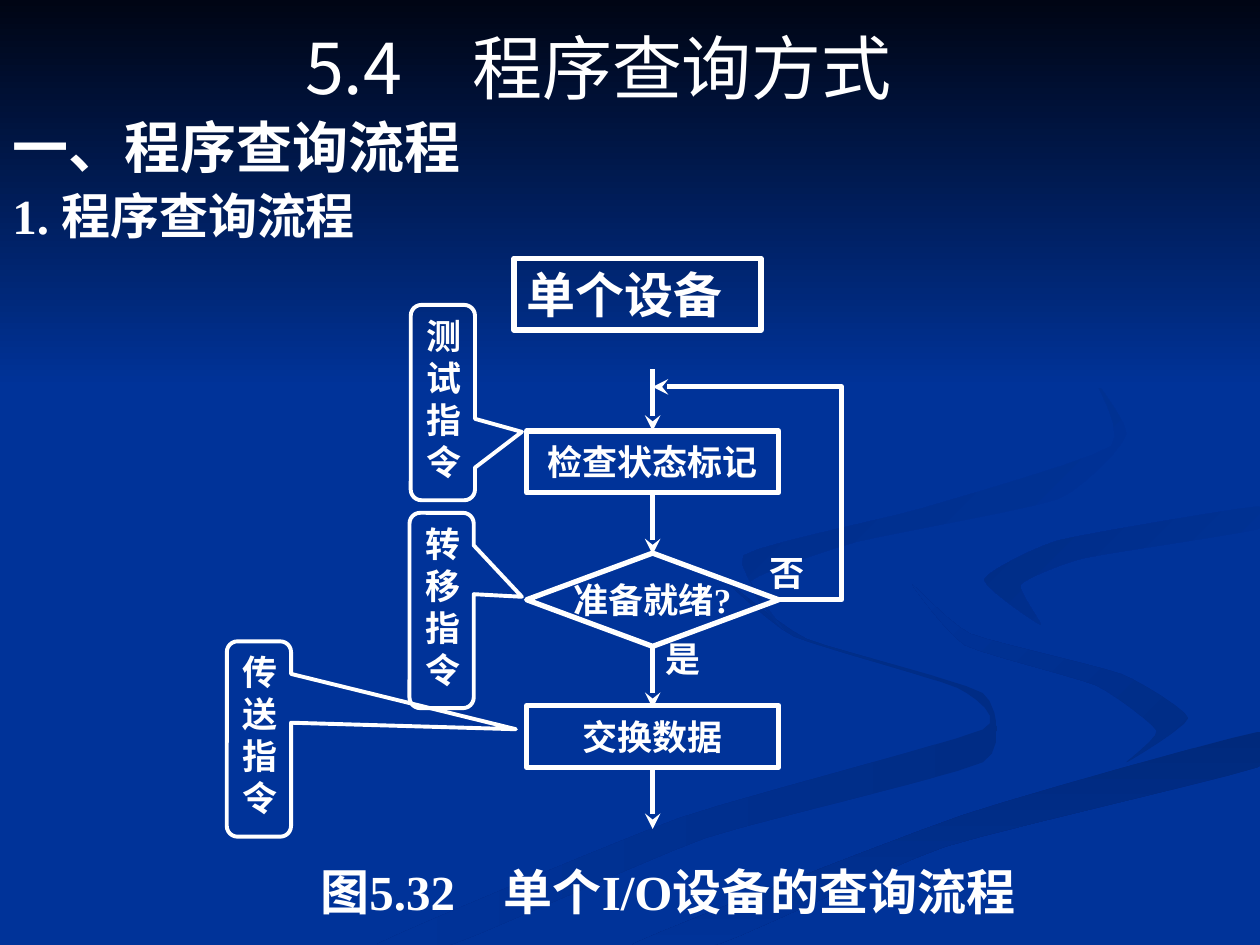
from dataclasses import dataclass

from lxml.etree import SubElement
from pptx import Presentation
from pptx.dml.color import RGBColor
from pptx.enum.shapes import MSO_CONNECTOR as Link, MSO_SHAPE as Shape
from pptx.enum.text import MSO_ANCHOR as Anchor, PP_ALIGN as Align
from pptx.oxml.ns import qn
from pptx.util import Inches, Pt


@dataclass(frozen=True)
class Theme:
    """Colours, fonts, type sizes and line widths of the deck."""
    ground: str = "003399"
    night: str = "000514"
    shade: str = "002C85"
    deep: str = "00297C"
    ink: str = "FFFFFF"
    serif: str = "Times New Roman"
    sans: str = "Noto Sans CJK SC"
    title: int = 40
    section: int = 32
    heading: int = 28
    label: int = 20
    stroke: float = 3
    thin: float = 2.25


@dataclass(frozen=True)
class Box:
    """A rectangle on the slide, in inches."""
    left: float
    top: float
    width: float
    height: float

    def inner(self, x, y, width, height):
        """Return a box placed relative to this one."""
        return Box(self.left + x, self.top + y, width, height)

    def emu(self):
        """Return the four lengths for python-pptx."""
        return [Inches(n) for n in (self.left, self.top, self.width, self.height)]


THEME = Theme()
RIBBONS = [
    (THEME.shade, THEME.ground, 180, [
        (7.8, 5.5), (6.4, 5.07), (5.75, 4.6), (6.3, 5.05), (7.6, 5.46), (7.8, 5.79),
        (5.4, 6.49), (3, 7.49), (3.6, 7.49), (5.6, 6.65), (7.8, 6.05)]),
    (THEME.shade, THEME.ground, 225, [
        (9.43, 5.7), (8.9, 5.35), (7.7, 5.03), (7.24, 4.64), (7.66, 5.12), (8.7, 5.44),
        (9.18, 5.8), (8.94, 6.05)]),
    (THEME.deep, THEME.ground, 90, [
        (5.03, 7.49), (5.71, 7.49), (7.5, 6.72), (9.98, 6.09), (9.98, 5.81), (7.64, 6.47)]),
    (THEME.ground, THEME.shade, 225, [
        (7.81, 4.6), (8.26, 4.96), (8.1, 4.64), (8.6, 4.43), (9.98, 4.2), (9.98, 4.02),
        (8.4, 4.29)]),
    (THEME.ground, THEME.shade, 225, [
        (6.8, 4.3), (8.4, 3.96), (8.94, 3.44), (8.5, 2.8), (7.62, 2.33), (8.6, 2.9),
        (8.82, 3.54), (7.3, 4.04), (5.9, 4.41), (6.22, 5), (5.96, 4.61)]),
]


def smooth_outline(points, steps=6):
    """Round a closed outline with a Catmull-Rom curve of half tension."""
    count = len(points)
    outline = []
    for index in range(count):
        before, start, end, after = (points[(index + n) % count] for n in (-1, 0, 1, 2))
        for step in range(steps):
            t = step / steps
            rise = t * t * (3 - 2 * t)
            leave, arrive = t * (1 - t) ** 2 / 4, t * t * (1 - t) / 4
            outline.append(tuple(
                b + (c - b) * rise + (c - a) * leave - (d - b) * arrive
                for a, b, c, d in zip(before, start, end, after)))
    return outline


def set_gradient(shape, start, end, angle):
    """Fill a shape without outline with a two-stop gradient, angle clockwise."""
    shape.shadow.inherit = False
    shape.line.fill.background()
    shape.fill.gradient()
    shape.fill.gradient_angle = 360 - angle
    for stop, colour in zip(shape.fill.gradient_stops, (start, end)):
        stop.color.rgb = RGBColor.from_string(colour)


def set_stroke(line, width, arrow=False):
    """Draw a line in the ink colour, with an optional stealth arrowhead."""
    line.color.rgb = RGBColor.from_string(THEME.ink)
    line.width = Pt(width)
    if arrow:
        SubElement(line._get_or_add_ln(), qn("a:tailEnd"), type="stealth")


def write(frame, lines, size, align=Align.LEFT, anchor=Anchor.TOP, wrap=True, font=THEME.serif):
    """Write one paragraph for each line into a text frame."""
    frame.word_wrap = wrap
    frame.vertical_anchor = anchor
    for index, line in enumerate(lines):
        para = frame.add_paragraph() if index else frame.paragraphs[0]
        para.alignment = align
        span = para.add_run()
        span.text = line
        span.font.name = font
        span.font.size = Pt(size)
        span.font.bold = font == THEME.serif
        span.font.color.rgb = RGBColor.from_string(THEME.ink)
        if font == THEME.sans:
            SubElement(span.font._element, qn("a:ea"), typeface=font)


def add_text(page, box, text, size, **style):
    """Add a text box of one line."""
    write(page.shapes.add_textbox(*box.emu()).text_frame, [text], size, **style)


def add_outline(page, kind, box, width):
    """Add an unfilled preset shape with an ink outline."""
    shape = page.shapes.add_shape(kind, *box.emu())
    shape.shadow.inherit = False
    shape.fill.background()
    set_stroke(shape.line, width)
    return shape


def add_path(page, box, points, closed):
    """Add a freeform through points measured from the corner of the box."""
    corners = [(Inches(box.left + x), Inches(box.top + y)) for x, y in points]
    builder = page.shapes.build_freeform(*corners[0])
    builder.add_line_segments(corners[1:], close=closed)
    shape = builder.convert_to_shape()
    shape.shadow.inherit = False
    return shape


def add_backdrop(page, box):
    """Colour the page and lay its ribbons and dark sky behind the title."""
    page.background.fill.solid()
    page.background.fill.fore_color.rgb = RGBColor.from_string(THEME.ground)
    for start, end, angle, points in RIBBONS:
        set_gradient(add_path(page, box, smooth_outline(points), True), start, end, angle)
    sky = page.shapes.add_shape(Shape.RECTANGLE, *box.inner(0, 0, box.width, 3.08).emu())
    set_gradient(sky, THEME.night, THEME.ground, 90)
    sky._element.addnext(page.shapes.title._element)


def add_headings(page, box):
    """Place the title and the two headings under it."""
    title = page.shapes.title
    title.left, title.top, title.width, title.height = box.inner(0.5, 0, 8.5, 1.06).emu()
    write(title.text_frame, ["5.4　程序查询方式"], THEME.title,
          align=Align.CENTER, anchor=Anchor.MIDDLE, font=THEME.sans)
    add_text(page, box.inner(0, 0.84, 4.02, 0.64), "一、程序查询流程", THEME.section)
    add_text(page, box.inner(0, 1.42, 3.68, 0.57), "1. 程序查询流程", THEME.heading)


def add_flow(page, box):
    """Draw the flow chart of the status query with its loop back."""
    wide, gap = 2, 0.49
    middle = wide / 2
    steps = [(Shape.RECTANGLE, "检查状态标记", 0.49, 0.49),
             (Shape.DIAMOND, "准备就绪?", 1.46, 0.74),
             (Shape.RECTANGLE, "交换数据", 2.67, 0.49)]
    starts = [0]
    for kind, text, top, height in steps:
        node = add_outline(page, kind, box.inner(0, top, wide, height), THEME.stroke)
        frame = node.text_frame
        frame.margin_left = frame.margin_right = frame.margin_top = frame.margin_bottom = 0
        write(frame, [text], THEME.label, align=Align.CENTER, anchor=Anchor.MIDDLE, wrap=False)
        starts.append(top + height)
    for start in starts:
        x = Inches(box.left + middle)
        arrow = page.shapes.add_connector(Link.STRAIGHT, x, Inches(box.top + start),
                                          x, Inches(box.top + start + gap))
        set_stroke(arrow.line, THEME.stroke, arrow=True)
        SubElement(arrow._element.spPr, qn("a:effectLst"))
    turn = [(wide - 0.04, 1.83), (box.width, 1.83), (box.width, 0.14), (middle, 0.14)]
    loop = add_path(page, box, turn, False)
    loop.fill.background()
    set_stroke(loop.line, THEME.stroke, arrow=True)
    for text, x, y in (("是", middle, 2.08), ("否", 1.83, 1.4)):
        add_text(page, box.inner(x, y, 0.48, 0.44), text, THEME.label, wrap=False)


def add_callout(page, box, word, reach, drop):
    """Add a callout with upright wording whose tip is given in box units."""
    callout = add_outline(page, Shape.ROUNDED_RECTANGULAR_CALLOUT, box, THEME.thin)
    callout.adjustments[0] = reach
    callout.adjustments[1] = drop
    write(callout.text_frame, word, THEME.label, wrap=False)


def add_figure(page, box):
    """Compose the device label, flow chart, callouts and caption."""
    device = add_outline(page, Shape.RECTANGLE, box.inner(2.28, 0, 1.96, 0.57), THEME.stroke)
    write(device.text_frame, ["单个设备"], THEME.heading)
    add_flow(page, box.inner(2.38, 0.88, 2.5, 3.66))
    for word, x, y, reach, drop in (("测试指令", 1.46, 0.37, 1.23, 0.15),
                                    ("转移指令", 1.45, 2.02, 1.25, -0.07),
                                    ("传送指令", 0, 3.04, 4, -0.05)):
        add_callout(page, box.inner(x, y, 0.51, 1.55), word, reach, drop)
    add_text(page, box.inner(0.37, 4.74, 6.26, 0.57), "图5.32　单个I/O设备的查询流程",
             THEME.heading, align=Align.CENTER)


def main():
    """Build the deck and save it."""
    deck = Presentation()
    deck.slide_width, deck.slide_height = Inches(10), Inches(7.5)
    page = deck.slides.add_slide(deck.slide_layouts[5])
    whole = Box(0, 0, 10, 7.5)
    add_backdrop(page, whole)
    add_headings(page, whole)
    add_figure(page, whole.inner(1.8, 2.05, 6.63, 5.31))
    deck.save("out.pptx")


if __name__ == "__main__":
    main()
